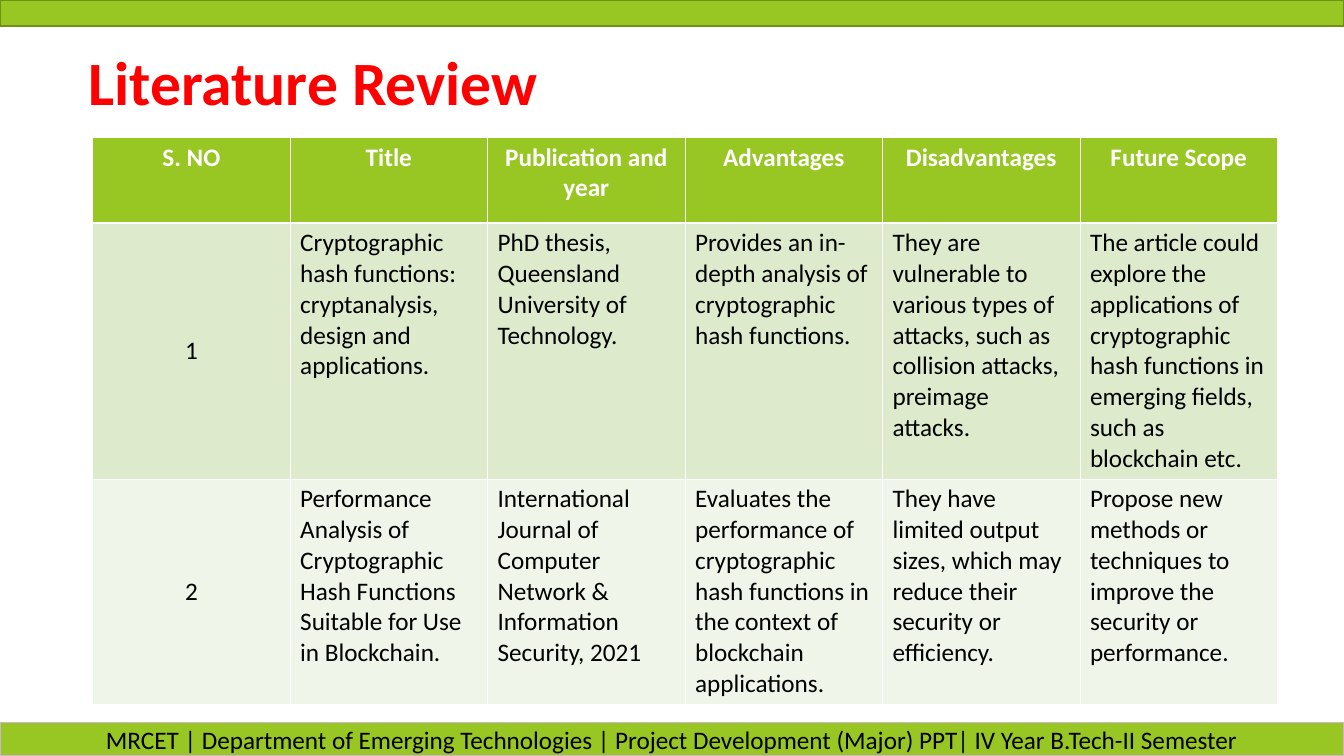
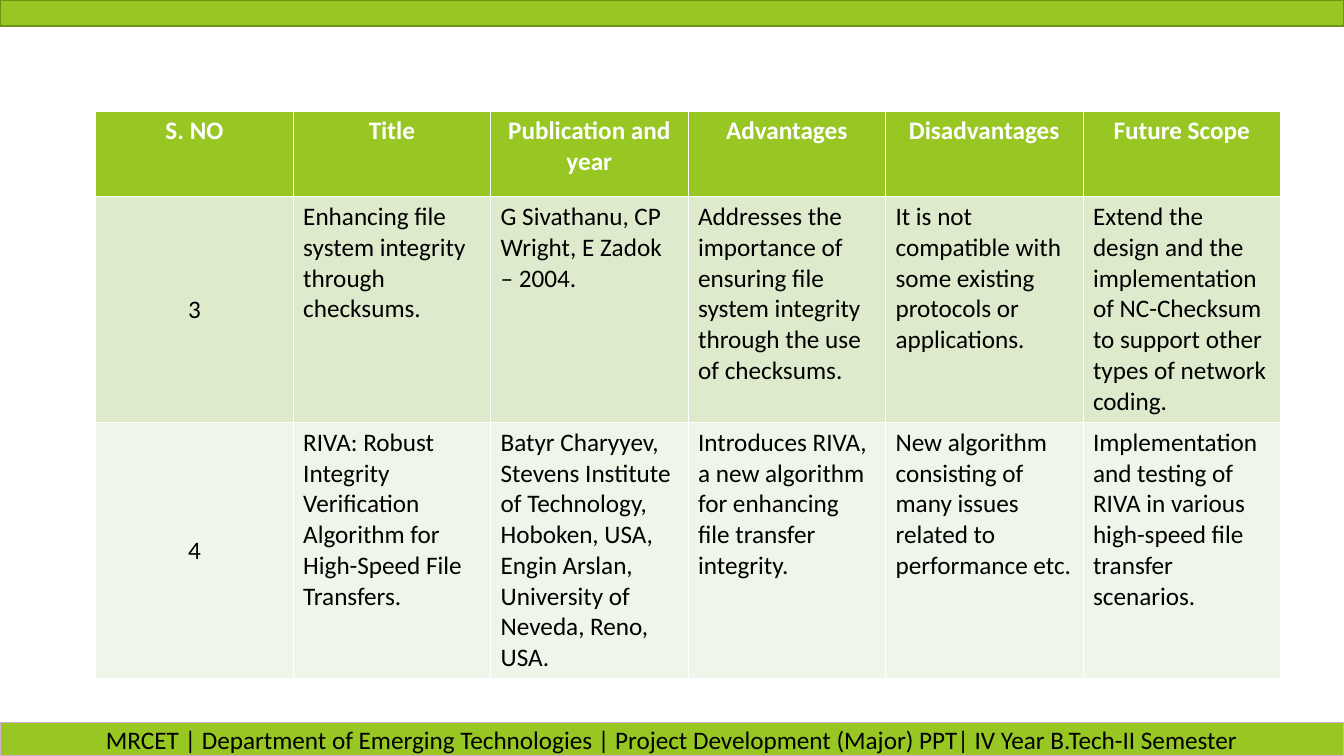
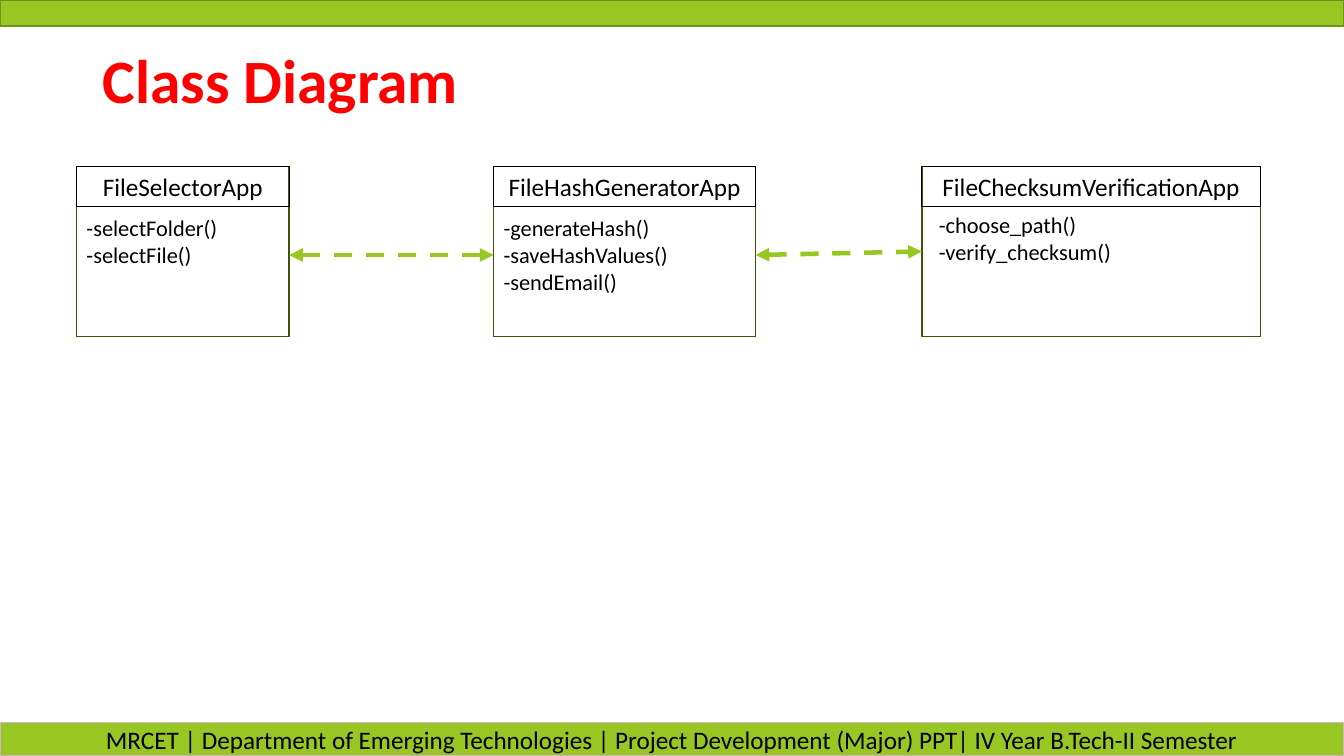
from dataclasses import dataclass

from lxml.etree import SubElement
from pptx import Presentation
from pptx.dml.color import RGBColor
from pptx.enum.dml import MSO_LINE_DASH_STYLE as Dash
from pptx.enum.shapes import MSO_CONNECTOR, MSO_SHAPE
from pptx.enum.text import MSO_ANCHOR as Anchor, MSO_AUTO_SIZE as AutoSize, PP_ALIGN as Align
from pptx.oxml.ns import qn
from pptx.util import Inches, Pt


@dataclass(frozen=True)
class Theme:
    font: str = "Calibri"
    green: str = "98C723"
    dark_green: str = "6E9217"
    olive: str = "3D5308"
    pink: str = "D4B0D2"
    red: str = "FF0000"
    black: str = "000000"
    white: str = "FFFFFF"
    row_fills: tuple = ("DDEBCC", "EFF5E8")
    title_size: int = 44
    text_size: int = 18
    method_size: int = 16


THEME = Theme()
SLIDE_WIDTH, SLIDE_HEIGHT = 13.34, 7.5
TITLE_ONLY, BLANK = 5, 6
TOP_BAND, FOOTER_BAND = 0.26, 0.33
COLUMN_WIDTH, HEADER_HEIGHT = 1.96, 0.85
THIN_BORDER, HEADER_BORDER = 0.45, 1.47
CLASS_TOP, CLASS_HEIGHT, NAME_HEIGHT = 1.65, 1.69, 0.4
ARROW_Y = 2.53

FOOTER = ("MRCET | Department of Emerging Technologies | Project Development (Major) PPT"
          "| IV Year B.Tech-II Semester")
HEADERS = ("S. NO", "Title", "Publication and year", "Advantages", "Disadvantages", "Future Scope")
FIRST_PAPERS = (
    ("1",
     "Cryptographic hash functions: cryptanalysis, design and applications.",
     "PhD thesis, Queensland University of Technology.",
     "Provides an in-depth analysis of cryptographic hash functions.",
     "They are vulnerable to various types of attacks, such as collision attacks, preimage attacks.",
     "The article could explore the applications of cryptographic hash functions in emerging "
     "fields, such as blockchain etc."),
    ("2",
     "Performance Analysis of Cryptographic Hash Functions Suitable for Use in Blockchain.",
     "International Journal of Computer Network & Information Security, 2021",
     "Evaluates the performance of cryptographic hash functions in the context of "
     "blockchain applications.",
     "They have limited output sizes, which may reduce their security or efficiency.",
     "Propose new methods or techniques to improve the security or performance."),
)
SECOND_PAPERS = (
    ("3",
     "Enhancing file system integrity through checksums.",
     "G Sivathanu, CP Wright, E Zadok – 2004.",
     "Addresses the importance of ensuring file system integrity through the use of checksums.",
     "It is not compatible with some existing protocols or applications.",
     "Extend the design and the implementation of NC-Checksum to support other types of "
     "network coding."),
    ("4",
     "RIVA: Robust Integrity Verification Algorithm for High-Speed File Transfers.",
     "Batyr Charyyev, Stevens Institute of Technology, Hoboken, USA, Engin Arslan, "
     "University of Neveda, Reno, USA.",
     "Introduces RIVA, a new algorithm for enhancing file transfer integrity.",
     "New algorithm consisting of many issues related to performance etc.",
     "Implementation and testing of RIVA in various high-speed file transfer scenarios."),
)


def inches(*lengths):
    return [Inches(length) for length in lengths]


def write(frame, lines, align=Align.LEFT, color=THEME.black, size=THEME.text_size,
          bold=False, line_spacing=None):
    """Fill a text frame with one paragraph a line, all in one format."""
    font_values = {"name": THEME.font, "size": Pt(size), "bold": bold}
    for index, line in enumerate(lines):
        paragraph = frame.paragraphs[0] if index == 0 else frame.add_paragraph()
        paragraph.alignment = align
        paragraph.line_spacing = line_spacing
        run = paragraph.add_run()
        run.text = line
        for name, value in font_values.items():
            setattr(run.font, name, value)
        run.font.color.rgb = RGBColor.from_string(color)


def add_box(slide, box, line, fill=None, width=1):
    shape = slide.shapes.add_shape(MSO_SHAPE.RECTANGLE, *inches(*box))
    shape.shadow.inherit = False
    if fill:
        shape.fill.solid()
        shape.fill.fore_color.rgb = RGBColor.from_string(fill)
    else:
        shape.fill.background()
    shape.line.color.rgb = RGBColor.from_string(line)
    shape.line.width = Pt(width)
    return shape


def add_master_bands(presentation, slide):
    """Draw the two bands on a slide and move them to the master, for every slide to show."""
    top = add_box(slide, (0, 0, SLIDE_WIDTH, TOP_BAND), THEME.dark_green, THEME.green)
    footer = add_box(slide, (0, SLIDE_HEIGHT - FOOTER_BAND, SLIDE_WIDTH, FOOTER_BAND),
                     THEME.pink, THEME.green)
    footer.text_frame.vertical_anchor = Anchor.MIDDLE
    write(footer.text_frame, [FOOTER], Align.CENTER)
    for band in (top, footer):
        presentation.slide_master.shapes.element.append(band.element)


def set_title(slide, text, left, top):
    title = slide.shapes.title
    title.left, title.top, title.width, title.height = inches(left, top, 11.5, 0.85)
    for name, value in {"auto_size": AutoSize.NONE, "vertical_anchor": Anchor.MIDDLE}.items():
        setattr(title.text_frame, name, value)
    write(title.text_frame, [text], color=THEME.red, size=THEME.title_size,
          bold=True, line_spacing=0.9)


def set_borders(cell, top, bottom):
    widths = {"a:lnL": THIN_BORDER, "a:lnR": THIN_BORDER, "a:lnT": top, "a:lnB": bottom}
    properties = cell._tc.get_or_add_tcPr()
    for tag, width in widths.items():
        line = SubElement(properties, qn(tag), w=str(Pt(width)))
        fill = SubElement(line, qn("a:solidFill"))
        SubElement(fill, qn("a:srgbClr"), val=THEME.white)


def add_review_table(slide, left, top, papers, paper_heights):
    rows = (HEADERS, *papers)
    heights = (HEADER_HEIGHT, *paper_heights)
    fills = (THEME.green, *THEME.row_fills)
    table = slide.shapes.add_table(
        len(rows), len(HEADERS),
        *inches(left, top, COLUMN_WIDTH * len(HEADERS), sum(heights))).table
    for column in table.columns:
        column.width = Inches(COLUMN_WIDTH)
    for r, (texts, height, fill) in enumerate(zip(rows, heights, fills)):
        table.rows[r].height = Inches(height)
        is_header = r == 0
        for c, text in enumerate(texts):
            cell = table.cell(r, c)
            set_borders(cell, top=HEADER_BORDER if r == 1 else THIN_BORDER,
                        bottom=HEADER_BORDER if is_header else THIN_BORDER)
            cell.fill.solid()
            cell.fill.fore_color.rgb = RGBColor.from_string(fill)
            is_number = c == 0 and not is_header
            cell.vertical_anchor = Anchor.MIDDLE if is_number else Anchor.TOP
            write(cell.text_frame, [text],
                  align=Align.CENTER if is_header or is_number else Align.LEFT,
                  color=THEME.white if is_header else THEME.black, bold=is_header)


def add_class(slide, left, width, name, methods, methods_left, methods_top):
    """Draw a class box with its name and methods, and return the outline."""
    outline = add_box(slide, (left, CLASS_TOP, width, CLASS_HEIGHT), THEME.olive)
    heading = add_box(slide, (left, CLASS_TOP, width, NAME_HEIGHT), THEME.black, width=0.75)
    body = slide.shapes.add_textbox(
        *inches(methods_left, methods_top, width, 0.1 + 0.27 * len(methods)))
    for shape in (heading, body):
        frame = shape.text_frame
        frame.word_wrap = True
        frame.auto_size = AutoSize.SHAPE_TO_FIT_TEXT
        frame.vertical_anchor = Anchor.TOP
    write(heading.text_frame, [name], Align.CENTER)
    write(body.text_frame, methods, size=THEME.method_size)
    return outline


def add_double_arrow(slide, start, end):
    arrow = slide.shapes.add_connector(
        MSO_CONNECTOR.STRAIGHT, start.left + start.width, Inches(ARROW_Y),
        end.left, Inches(ARROW_Y))
    arrow.line.color.rgb = RGBColor.from_string(THEME.green)
    arrow.line.width = Pt(3.25)
    arrow.line.dash_style = Dash.DASH
    line = arrow.line._get_or_add_ln()
    for tag in ("a:headEnd", "a:tailEnd"):
        SubElement(line, qn(tag), type="triangle")
    SubElement(arrow.element.spPr, qn("a:effectLst"))
    return arrow


def add_class_diagram(slide):
    selector = add_class(slide, 0.76, 2.11, "FileSelectorApp",
                         ["-selectFolder()", "-selectFile()"], 0.76, 2.08)
    generator = add_class(slide, 4.9, 2.6, "FileHashGeneratorApp",
                          ["-generateHash()", "-saveHashValues()", "-sendEmail()"], 4.9, 2.08)
    verifier = add_class(slide, 9.15, 3.36, "FileChecksumVerificationApp",
                         ["-choose_path()", "-verify_checksum()"], 9.22, 2.05)
    add_double_arrow(slide, selector, generator)
    add_double_arrow(slide, generator, verifier).end_connect(verifier, 1)


def main():
    presentation = Presentation()
    presentation.slide_width, presentation.slide_height = inches(SLIDE_WIDTH, SLIDE_HEIGHT)
    review, review_more, diagram = [
        presentation.slides.add_slide(presentation.slide_layouts[layout])
        for layout in (TITLE_ONLY, BLANK, TITLE_ONLY)]
    add_master_bands(presentation, review)

    set_title(review, "Literature Review", 0.78, 0.42)
    add_review_table(review, 0.92, 1.36, FIRST_PAPERS, (2.54, 2.24))

    add_review_table(review_more, 0.95, 1.1, SECOND_PAPERS, (2.24, 2.54))

    set_title(diagram, "Class Diagram", 0.92, 0.4)
    add_class_diagram(diagram)

    presentation.save("out.pptx")


if __name__ == "__main__":
    main()
